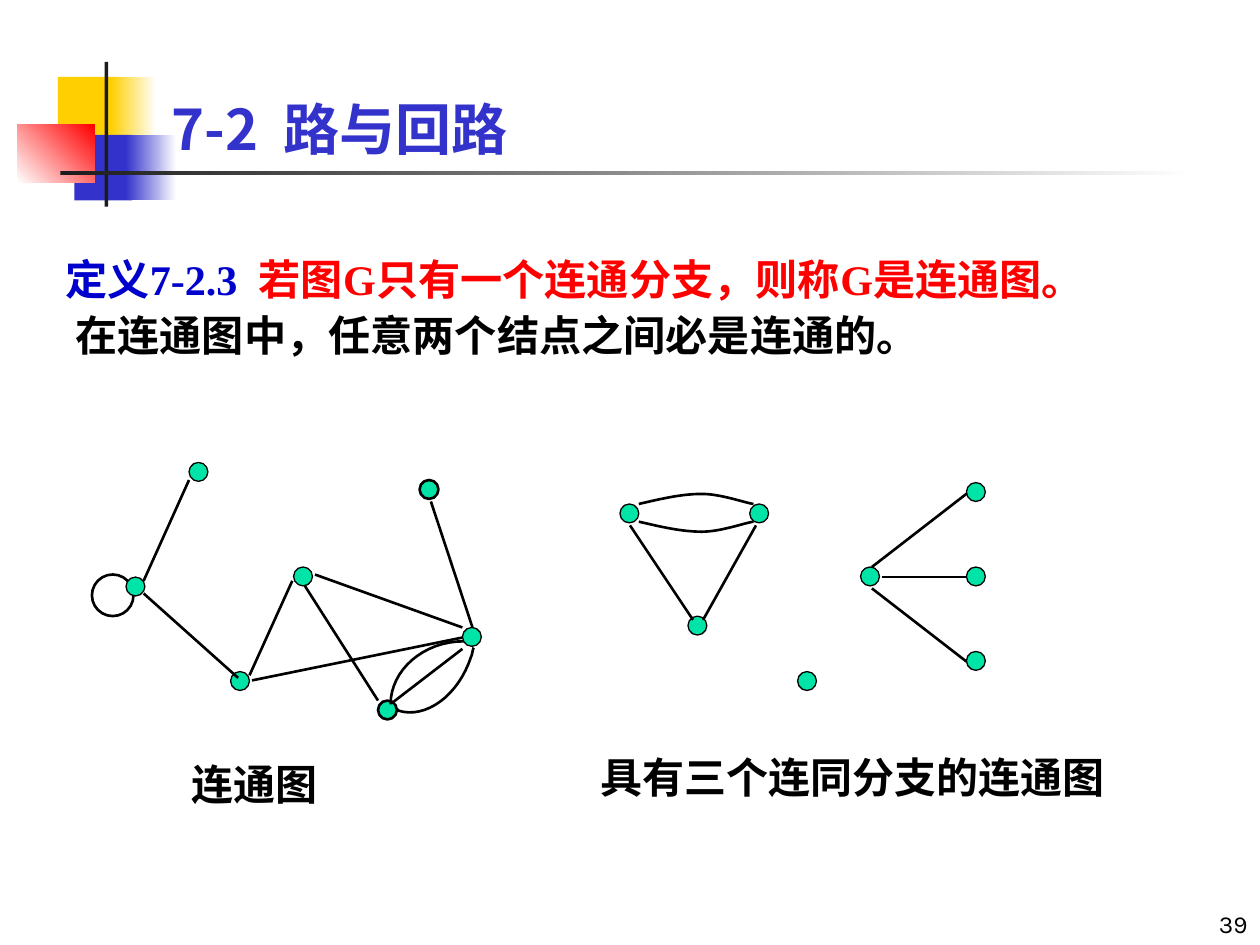
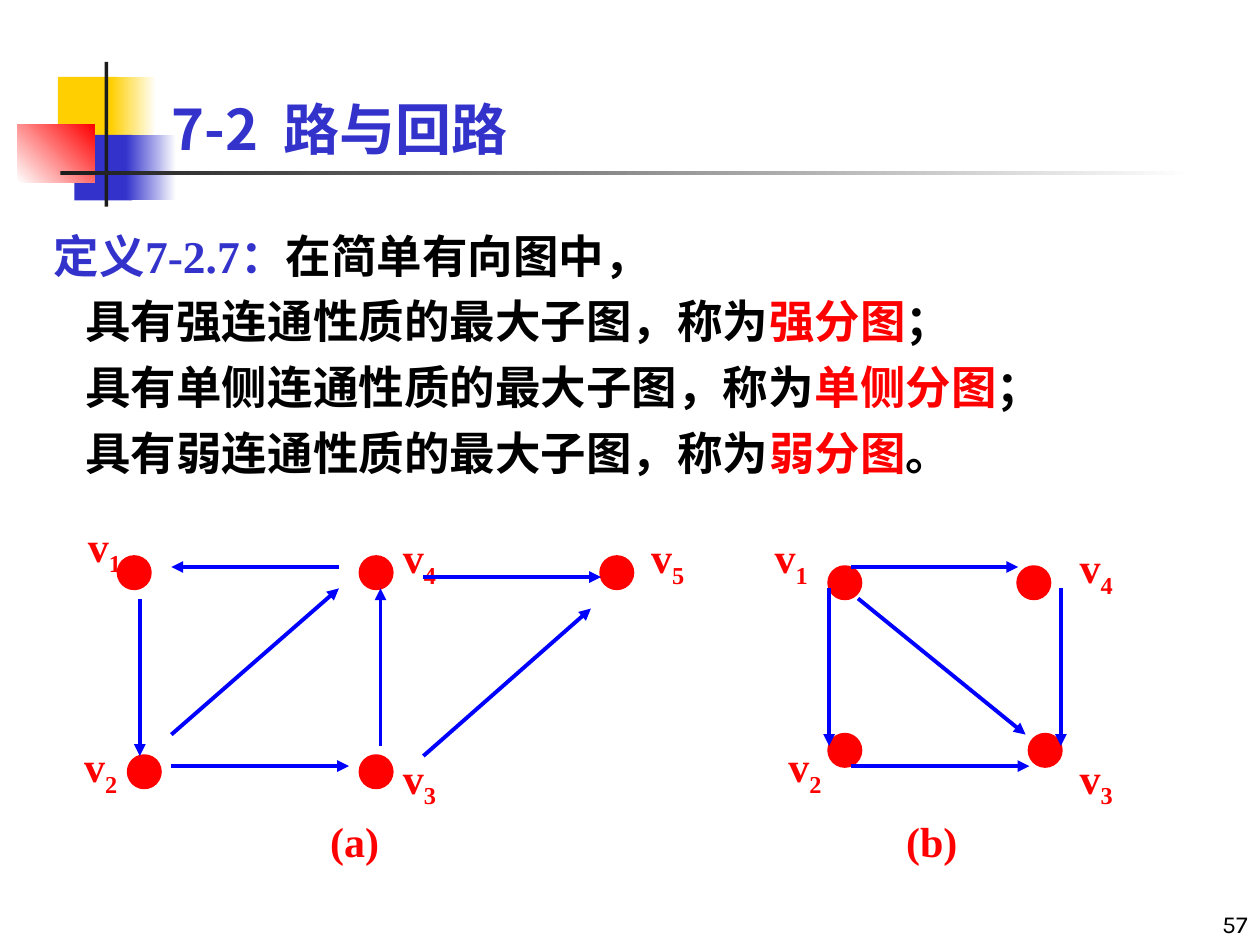
from dataclasses import dataclass

from lxml import etree
from pptx import Presentation
from pptx import util as u
from pptx.dml.color import RGBColor
from pptx.enum import shapes, text
from pptx.oxml.ns import qn

EMU_PER_PX = 9144  # 100 px to the inch

BLACK, WHITE, INK = "000000", "FFFFFF", "1C1C1C"
RED, BLUE, YELLOW = "FF0000", "3333CC", "FFCF01"
DEEP_BLUE, ARROW_BLUE, GREEN = "0000CC", "0000FF", "00E4A8"
SERIF, SANS, CJK = "Times New Roman", "Karla", "Noto Sans CJK SC"
OVAL, RECTANGLE = shapes.MSO_SHAPE.OVAL, shapes.MSO_SHAPE.RECTANGLE

Point = tuple[int, int]


@dataclass
class Box:
    left: int
    top: int
    width: int
    height: int

    def emu(self) -> list[int]:
        return [px(n) for n in (self.left, self.top, self.width, self.height)]


@dataclass
class Run:
    words: str
    color: str = BLACK
    baseline: int = 0


@dataclass
class Paragraph:
    runs: list[Run]
    indent: int = 0


@dataclass
class Band:
    box: Box
    color: str
    fade_to: str = ""
    angle: int = 0


@dataclass
class Node:
    left: int
    top: int
    outline: float = 0.75


@dataclass
class Label:
    words: str
    left: int
    top: int


BANDS = [
    Band(Box(46, 61, 48, 52), YELLOW),
    Band(Box(88, 61, 36, 52), YELLOW, WHITE),
    Band(Box(59, 107, 46, 52), BLUE),
    Band(Box(100, 107, 40, 52), BLUE, WHITE),
    Band(Box(14, 99, 61, 46), WHITE, RED, 45),
    Band(Box(83, 49, 3, 115), INK),
    Band(Box(48, 136, 900, 3), INK, WHITE),
]


def px(length: int) -> u.Emu:
    return u.Emu(length * EMU_PER_PX)


def rgb(color: str) -> RGBColor:
    return RGBColor.from_string(color)


def style_shape(shape, fill: str = "", line: str = "", width: float = 0.75) -> None:
    shape.shadow.inherit = False
    if fill:
        shape.fill.solid()
        shape.fill.fore_color.rgb = rgb(fill)
    else:
        shape.fill.background()
    if line:
        shape.line.color.rgb = rgb(line)
        shape.line.width = u.Pt(width)
    else:
        shape.line.fill.background()


def write(shape, paragraphs: list[Paragraph], *, size: float, font: str,
          bold: bool = True, align=text.PP_ALIGN.LEFT,
          anchor=text.MSO_ANCHOR.TOP, leading: float = 0) -> None:
    frame = shape.text_frame
    frame.word_wrap = True
    frame.auto_size = text.MSO_AUTO_SIZE.NONE
    frame.vertical_anchor = anchor
    for number, content in enumerate(paragraphs):
        paragraph = frame.add_paragraph() if number else frame.paragraphs[0]
        paragraph.alignment = align
        if leading:
            paragraph.line_spacing = u.Pt(leading)
        if content.indent:
            paragraph._p.get_or_add_pPr().set("marL", str(px(content.indent)))
        for part in content.runs:
            run = paragraph.add_run()
            run.text = part.words
            run.font.size, run.font.bold = u.Pt(size), bold
            run.font.name = font
            run.font.color.rgb = rgb(part.color)
            properties = run._r.get_or_add_rPr()
            etree.SubElement(properties, qn("a:ea")).set("typeface", CJK)
            if part.baseline:
                properties.set("baseline", str(part.baseline * 1000))


def add_text(slide, box: Box, paragraphs: list[Paragraph], **style) -> None:
    write(slide.shapes.add_textbox(*box.emu()), paragraphs, **style)


def add_oval(slide, box: Box, fill: str, line: str, width: float) -> None:
    style_shape(slide.shapes.add_shape(OVAL, *box.emu()), fill, line, width)


def add_line(slide, start: Point, end: Point, color: str = BLACK,
             width: float = 1.5, arrow: bool = False) -> None:
    connector = slide.shapes.add_connector(
        shapes.MSO_CONNECTOR.STRAIGHT, *(px(n) for n in start + end))
    connector.line.color.rgb = rgb(color)
    connector.line.width = u.Pt(width)
    if arrow:
        etree.SubElement(connector.line._get_or_add_ln(),
                         qn("a:tailEnd")).set("type", "triangle")
    etree.SubElement(connector.element.spPr, qn("a:effectLst"))


def add_curve(slide, points: list[Point], steps: int = 16) -> None:
    """Draw joined cubic curves: a start, then three points per curve."""
    builder = slide.shapes.build_freeform(*(px(n) for n in points[0]))
    vertices = []
    for first in range(0, len(points) - 1, 3):
        controls = points[first:first + 4]
        for step in range(1, steps + 1):
            t = step / steps
            weights = ((1 - t) ** 3, 3 * t * (1 - t) ** 2, 3 * t * t * (1 - t), t ** 3)
            vertices.append(tuple(
                round(EMU_PER_PX * sum(w * p[axis] for w, p in zip(weights, controls)))
                for axis in (0, 1)))
    builder.add_line_segments(vertices, close=False)
    style_shape(builder.convert_to_shape(), line=BLACK, width=1.5)


def decorate_layout(slide) -> None:
    """Draw the bands once and move them to the layout that slides share."""
    layout = slide.slide_layout
    for placeholder in list(layout.placeholders):
        if placeholder.placeholder_format.type != shapes.PP_PLACEHOLDER.TITLE:
            layout.shapes.element.remove(placeholder.element)
    for band in BANDS:
        shape = slide.shapes.add_shape(RECTANGLE, *band.box.emu())
        style_shape(shape, band.color)
        if band.fade_to:
            shape.fill.gradient()
            shape.fill.gradient_angle = band.angle
            for stop, color in zip(shape.fill.gradient_stops, (band.color, band.fade_to)):
                stop.color.rgb = rgb(color)
        layout.shapes.element.append(shape.element)


def add_page(presentation, number: str):
    slide = presentation.slides.add_slide(presentation.slide_layouts[5])
    if len(presentation.slides) == 1:
        decorate_layout(slide)
    title = slide.shapes.title
    title.left, title.top, title.width, title.height = Box(126, 8, 852, 125).emu()
    write(title, [Paragraph([Run("7-2  路与回路", BLUE)])], size=32, font=CJK,
          anchor=text.MSO_ANCHOR.BOTTOM)
    add_text(slide, Box(792, 700, 208, 50), [Paragraph([Run(number)])], size=14,
             font=SANS, bold=False, align=text.PP_ALIGN.RIGHT,
             anchor=text.MSO_ANCHOR.BOTTOM)
    return slide


def build_connected_graphs(presentation) -> None:
    slide = add_page(presentation, "39")
    add_text(slide, Box(42, 192, 908, 125), [
        Paragraph([Run("定义7-2.3  ", DEEP_BLUE),
                   Run("若图G只有一个连通分支，则称G是连通图。", RED)]),
        Paragraph([Run("在连通图中，任意两个结点之间必是连通的。")], indent=8),
    ], size=24.1, font=SERIF, leading=32)

    # Loop, then the nodes of both graphs
    add_oval(slide, Box(73, 456, 33, 33), "", BLACK, 1.5)
    nodes = [Node(150, 367), Node(183, 533), Node(367, 498), Node(233, 450),
             Node(333, 381, 1.5), Node(300, 556, 1.5), Node(100, 458),
             Node(492, 400), Node(546, 489), Node(595, 400), Node(633, 533),
             Node(683, 450)]
    nodes += [Node(767, 383 + 67 * row) for row in range(3)]
    for node in nodes:
        add_oval(slide, Box(node.left, node.top, 15, 15), GREEN, BLACK, node.outline)

    # Straight edges
    for start, end in [
        ((150, 381), (114, 461)), ((114, 471), (189, 538)),
        ((232, 461), (198, 536)), ((200, 540), (367, 506)),
        ((250, 456), (367, 498)), ((342, 398), (375, 498)),
        ((311, 558), (367, 515)), ((242, 465), (300, 556)),
        ((600, 417), (558, 492)), ((500, 417), (550, 492)),
        ((692, 450), (767, 392)), ((700, 458), (767, 458)),
        ((692, 467), (767, 525)),
    ]:
        add_line(slide, start, end)

    # Curved edges
    for points in [
        [(368, 509), (336, 509), (310, 532), (310, 559)],
        [(376, 514), (375, 516), (375, 519), (374, 521),
         (364, 552), (338, 571), (316, 564), (316, 563), (315, 563), (315, 563)],
        [(507, 400), (524, 396), (541, 392), (557, 392),
         (572, 392), (591, 399), (598, 400)],
        [(507, 414), (524, 418), (541, 422), (557, 422),
         (572, 422), (591, 415), (598, 414)],
    ]:
        add_curve(slide, points)

    # Captions
    for words, box in [("连通图", Box(142, 597, 183, 50)),
                       ("具有三个连同分支的连通图", Box(467, 591, 433, 50))]:
        add_text(slide, box, [Paragraph([Run(words)])], size=24, font=SANS, leading=29)


def build_directed_components(presentation) -> None:
    slide = add_page(presentation, "57")
    definition = [Paragraph([Run("定义7-2.7：", BLUE), Run("在简单有向图中，")])]
    for kind, term, stop in [("强", "强分图", "；"), ("单侧", "单侧分图", "；"),
                             ("弱", "弱分图", "。")]:
        definition.append(Paragraph(
            [Run(f"具有{kind}连通性质的最大子图，称为"), Run(term, RED), Run(stop)],
            indent=25))
    add_text(slide, Box(33, 167, 892, 283), definition, size=26, font=SERIF, leading=37.5)

    # Nodes of (b), then of (a)
    for left, top in [(658, 450), (808, 450), (658, 583), (817, 583),
                      (94, 442), (286, 442), (102, 600), (286, 600), (477, 442)]:
        add_oval(slide, Box(left, top, 25, 25), RED, RED, 2)

    # Node names and captions
    label_style = dict(size=24, font=SERIF, align=text.PP_ALIGN.CENTER)
    for label in [
        Label("v1", 600, 417), Label("v2", 611, 583), Label("v3", 842, 592),
        Label("v4", 842, 425), Label("v1", 55, 408), Label("v2", 52, 583),
        Label("v3", 305, 592), Label("v4", 305, 417), Label("v5", 502, 417),
    ]:
        letter, index = label.words
        add_text(slide, Box(label.left, label.top, 56, 56),
                 [Paragraph([Run(letter, RED), Run(index, RED, -25)])], **label_style)
    for words, box in [("(a)", Box(194, 642, 175, 50)), ("(b)", Box(631, 642, 217, 50))]:
        add_text(slide, box, [Paragraph([Run(words, RED)])], **label_style)

    # Directed edges of (b), then of (a)
    for start, end in [
        ((658, 467), (658, 592)), ((842, 467), (842, 592)),
        ((675, 608), (817, 608)), ((675, 450), (808, 450)),
        ((681, 475), (814, 583)),
        ((111, 475), (111, 600)), ((302, 592), (302, 467)),
        ((136, 608), (277, 608)), ((269, 450), (136, 450)),
        ((336, 458), (477, 458)), ((136, 583), (269, 467)),
        ((336, 600), (469, 483)),
    ]:
        add_line(slide, start, end, ARROW_BLUE, 2.25, arrow=True)


def main() -> None:
    presentation = Presentation()
    presentation.slide_width, presentation.slide_height = px(1000), px(750)
    build_connected_graphs(presentation)
    build_directed_components(presentation)
    presentation.save("out.pptx")


if __name__ == "__main__":
    main()
